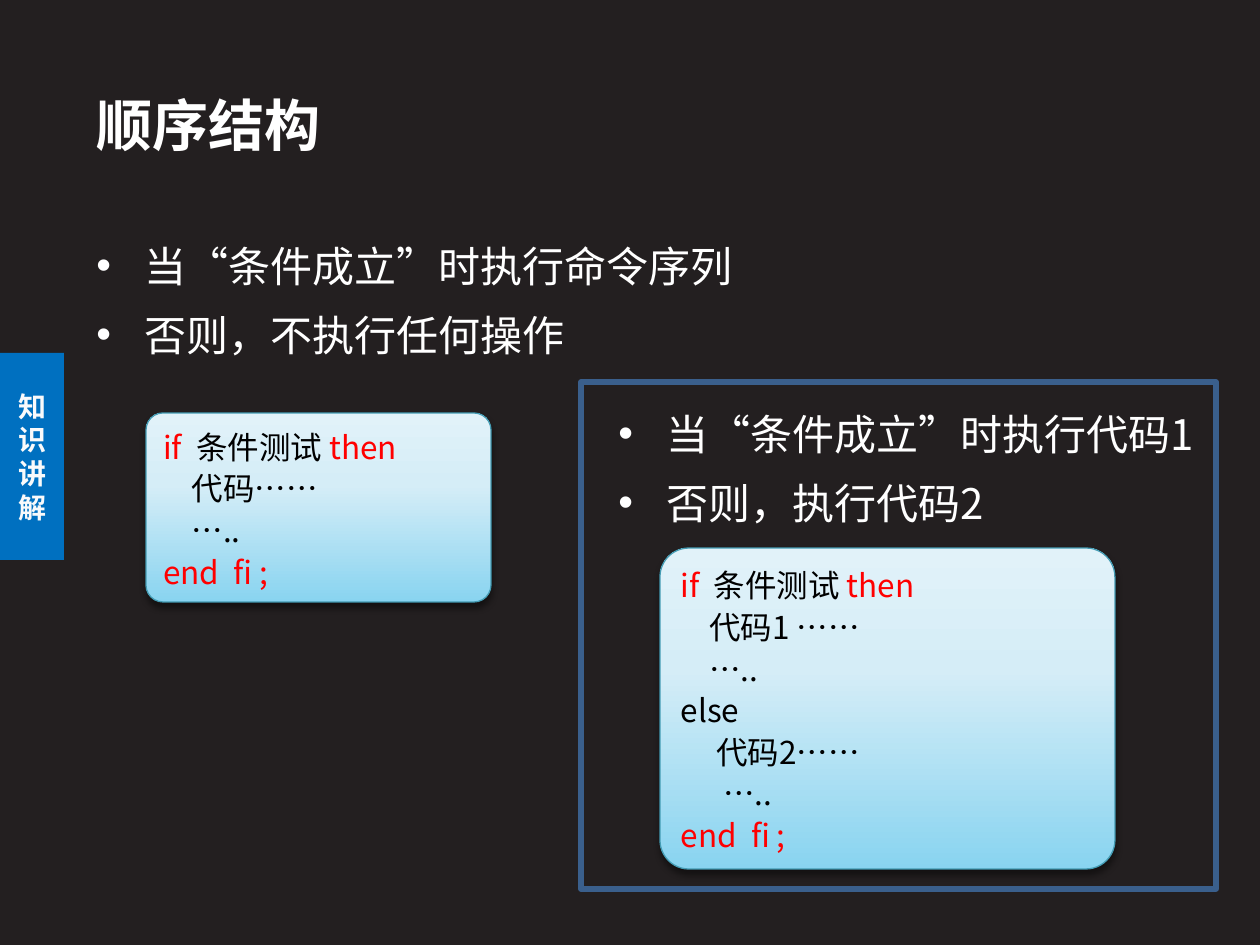
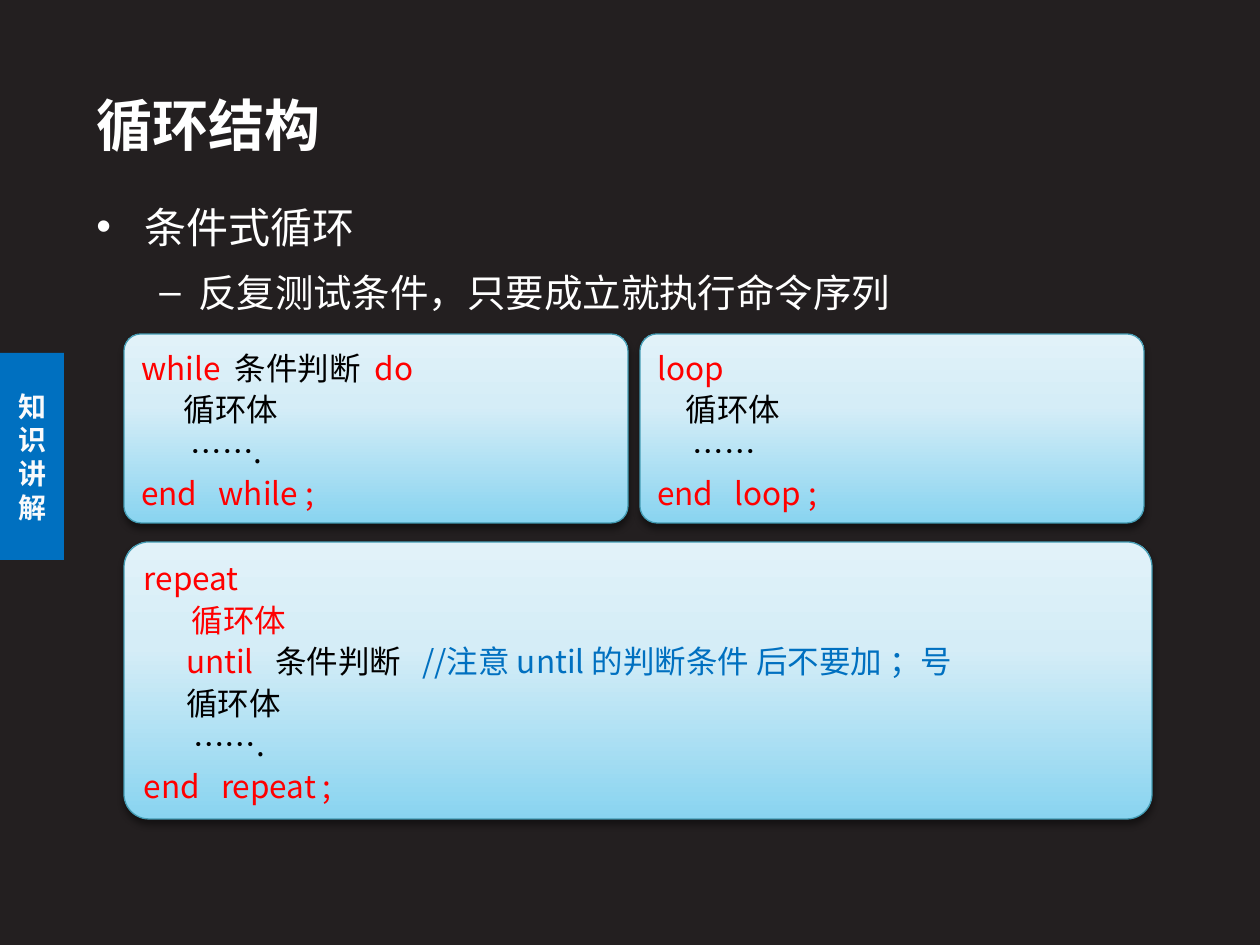
from dataclasses import dataclass
from lxml.etree import SubElement as Sub
from pptx import Presentation as Deck
from pptx.dml.color import RGBColor as Color
from pptx.enum.shapes import MSO_SHAPE as Form
from pptx.enum.text import MSO_ANCHOR as Anchor, PP_ALIGN as Align
from pptx.oxml.ns import qn
from pptx.util import Pt

SCALE = 914400 / 126


def px(size):
    return round(size * SCALE)


@dataclass(frozen=True)
class Theme:
    font: str = "Noto Sans CJK SC"
    back: str = "231F20"
    white: str = "FFFFFF"
    pale: str = "F9FAFB"
    blue: str = "0070C0"
    red: str = "FF0000"
    black: str = "000000"
    frame: str = "3A5F8C"
    edge: str = "449CB4"
    fade: tuple = ((0, "89D4F0"), (62, "D5EDF7"), (100, "E1F2F9"))
    title: int = 32
    lists: tuple = (24, 22)
    code: int = 18
    tab: int = 16


class Board:
    def __init__(self, deck, theme):
        self.deck = deck
        self.theme = theme
        self.slide = None

    def page(self):
        look = self.theme
        self.slide = self.deck.slides.add_slide(self.deck.slide_layouts[6])
        fill = self.slide.background.fill
        fill.solid()
        fill.fore_color.rgb = Color.from_string(look.back)
        side = self.shape(Form.RECTANGLE, (0, 353, 64, 207), look.blue)
        frame = side.text_frame
        frame.word_wrap = True
        frame.vertical_anchor = Anchor.MIDDLE
        para = frame.paragraphs[0]
        para.alignment = Align.CENTER
        self.run(para, "知识讲解", look.tab, look.pale, True)

    def shape(self, form, place, fill=None, line=None, width=1):
        item = self.slide.shapes.add_shape(form, *map(px, place))
        item.shadow.inherit = False
        if fill:
            item.fill.solid()
            item.fill.fore_color.rgb = Color.from_string(fill)
        else:
            item.fill.background()
        if line:
            item.line.color.rgb = Color.from_string(line)
            item.line.width = Pt(width)
        else:
            item.line.fill.background()
        return item

    def frame(self, place):
        self.shape(Form.RECTANGLE, place, None, self.theme.frame, 3)

    def run(self, para, text, size, color, bold=False):
        run = para.add_run()
        run.text = text
        font = run.font
        font.size = Pt(size)
        font.bold = bold
        font.color.rgb = Color.from_string(color)
        font.name = self.theme.font
        Sub(run._r.get_or_add_rPr(), qn("a:ea"), typeface=self.theme.font)

    def para(self, frame, first, left, hang, space):
        para = frame.paragraphs[0] if first else frame.add_paragraph()
        para.alignment = Align.LEFT
        para.line_spacing = space
        props = para._p.get_or_add_pPr()
        props.set("marL", str(px(left)))
        props.set("indent", str(px(-hang)))
        return para

    def text(self, place):
        frame = self.slide.shapes.add_textbox(*map(px, place)).text_frame
        frame.word_wrap = True
        return frame

    def title(self, words):
        frame = self.text((84, 75, 932, 98))
        frame.vertical_anchor = Anchor.MIDDLE
        self.run(frame.paragraphs[0], words, self.theme.title, self.theme.white, True)

    def points(self, place, rows):
        frame = self.text(place)
        for spot, (level, words) in enumerate(rows):
            left, hang, mark = ((48, 48, "•"), (102, 39, "–"))[level]
            size = self.theme.lists[level]
            para = self.para(frame, spot == 0, left, hang, 1.2)
            if spot:
                para.space_before = Pt(size * 0.2)
            props = para._p.get_or_add_pPr()
            Sub(props, qn("a:buFont"), typeface="Arial")
            Sub(props, qn("a:buChar"), char=mark)
            self.run(para, words, size, self.theme.white)

    def code(self, place, rows):
        look = self.theme
        card = self.shape(Form.ROUNDED_RECTANGLE, place, None, look.edge, 0.75)
        card.adjustments[0] = 0.09
        card.fill.gradient()
        card.fill.gradient_angle = 90
        props = card.element.spPr
        stops = props.find(".//" + qn("a:gsLst"))
        for stop in list(stops):
            stops.remove(stop)
        for spot, tint in look.fade:
            stop = Sub(stops, qn("a:gs"), pos=str(spot * 1000))
            Sub(stop, qn("a:srgbClr"), val=tint)
        shade = Sub(props.find(qn("a:effectLst")), qn("a:outerShdw"),
                    blurRad=str(Pt(4)), dist=str(Pt(3)), dir="5400000", rotWithShape="0")
        tint = Sub(shade, qn("a:srgbClr"), val=look.black)
        Sub(tint, qn("a:alpha"), val="43000")
        frame = card.text_frame
        frame.word_wrap = True
        frame.vertical_anchor = Anchor.TOP
        for spot, row in enumerate(rows):
            para = self.para(frame, spot == 0, 48, 48, 1.1)
            for words, color in row:
                self.run(para, words, look.code, color)


def main():
    deck = Deck()
    deck.slide_width, deck.slide_height = px(1260), px(945)
    look = Theme()
    board = Board(deck, look)

    def red(words):
        return words, look.red

    def black(words):
        return words, look.black

    test = [red("if  "), black("条件测试 "), red("then")]
    close = [red("end  fi ;")]

    board.page()
    board.frame((581, 382, 635, 507))
    board.title("顺序结构")
    board.points((84, 224, 1048, 139),
                 [(0, "当“条件成立”时执行命令序列"), (0, "否则，不执行任何操作")])
    board.code((146, 413, 345, 189),
               [test, [black("    代码……")], [black("    …..")], close])
    board.code((660, 548, 455, 321), [
        test,
        [black("    代码1 ……")],
        [black("    …..")],
        [black("else")],
        [black("     代码2……")],
        [black("      …..")],
        close,
    ])
    board.points((606, 392, 629, 145),
                 [(0, "当“条件成立”时执行代码1"), (0, "否则，执行代码2")])

    body = [[black("      循环体")], [black("       …….")]]

    board.page()
    board.title("循环结构")
    board.points((84, 185, 1048, 139),
                 [(0, "条件式循环"), (1, "反复测试条件，只要成立就执行命令序列")])
    board.code((124, 334, 504, 189), [
        [red("while  "), black("条件判断  "), red("do")],
        *body,
        [red("end   while ;")],
    ])
    board.code((640, 334, 504, 189), [
        [red("loop")],
        [black("    循环体")],
        [black("     ……")],
        [red("end   loop ;")],
    ])
    board.code((124, 542, 1028, 277), [
        [red("repeat")],
        [red("\t循环体")],
        [red("      until   "), black("条件判断   "),
         ("//注意 until 的判断条件 后不要加 ；号", look.blue)],
        *body,
        [red("end   repeat ;")],
    ])
    deck.save("out.pptx")


if __name__ == "__main__":
    main()
